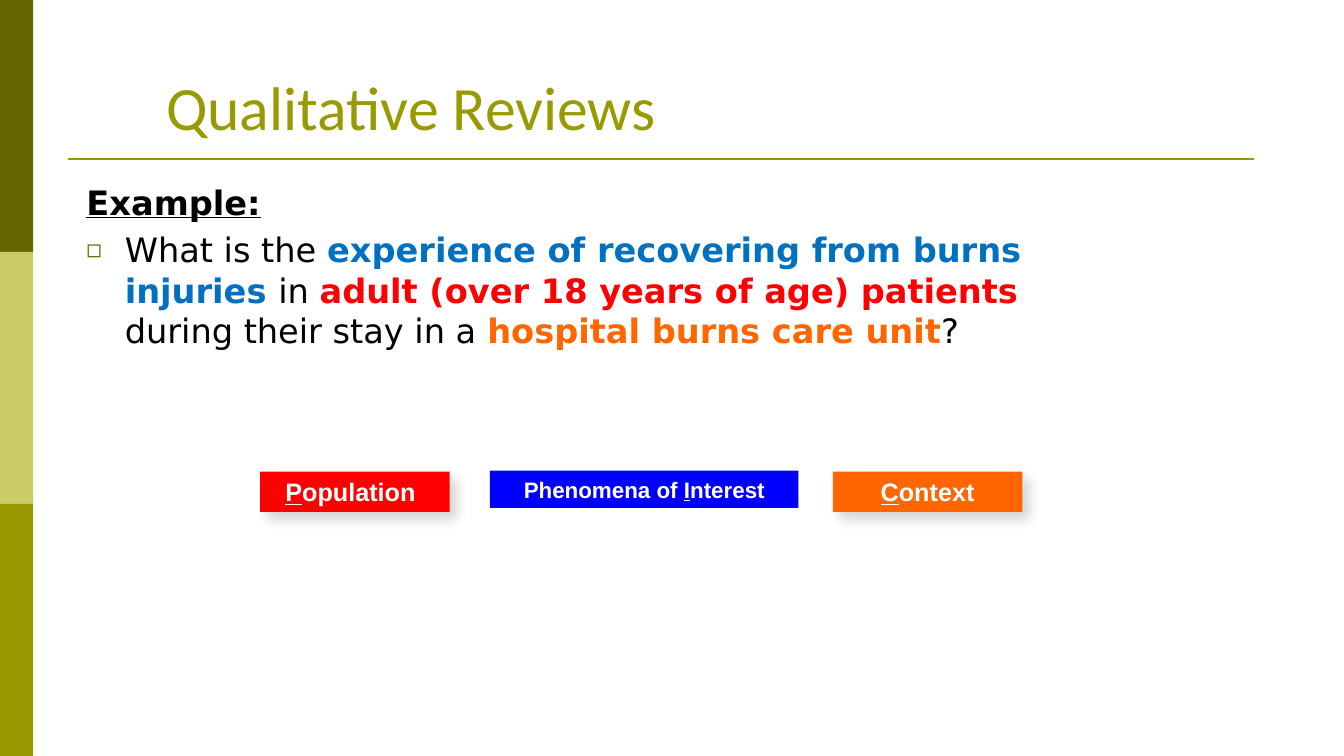
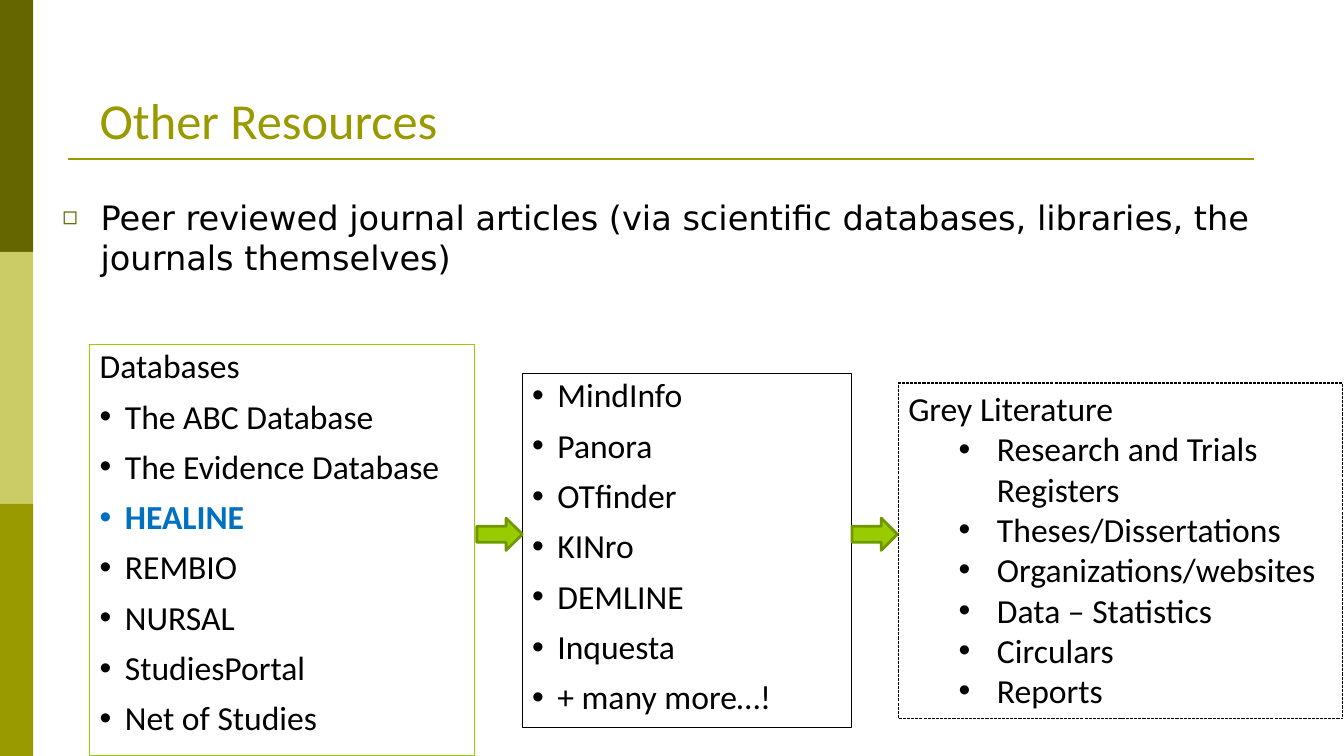
import pptx
import pptx.dml.color
import pptx.enum.dml
import pptx.enum.shapes
import pptx.enum.text
import pptx.oxml
import pptx.oxml.ns
import pptx.util
from lxml import etree

Inches = pptx.util.Inches
Pt = pptx.util.Pt
qn = pptx.oxml.ns.qn
SHAPES = pptx.enum.shapes.MSO_SHAPE
ALIGN = pptx.enum.text.PP_ALIGN
ANCHOR = pptx.enum.text.MSO_ANCHOR

OLIVE, DARK_OLIVE, PALE_OLIVE = "999900", "666600", "CCCC66"
BLACK, WHITE, BLUE, RED, ORANGE = "000000", "FFFFFF", "0070C0", "FF0000", "FF6600"
GREEN, DARK_GREEN = "99CC00", "719700"
SQUARE = {"char": "◻", "color": DARK_OLIVE, "percent": 75}
DOT = {"char": "•"}


def colour(value):
    return pptx.dml.color.RGBColor.from_string(value)


def add_text(slide, box, paragraphs=(), kind=None, fill=None, line=None, line_width=0.75,
             font="Calibri", size=24, color=BLACK, bold=False, align=ALIGN.LEFT,
             anchor=ANCHOR.TOP, margin=0.1, spacing=1.0, before=0):
    """Add a text box, or a shape of the given kind.

    Each paragraph is (runs, bullet, indent, hanging); each run is (text, format).
    """
    box = [Inches(length) for length in box]
    if kind is None:
        shape = slide.shapes.add_textbox(*box)
    else:
        shape = slide.shapes.add_shape(kind, *box)
        shape.shadow.inherit = False
        if fill:
            shape.fill.solid()
            shape.fill.fore_color.rgb = colour(fill)
        else:
            shape.fill.background()
        if line:
            shape.line.color.rgb = colour(line)
            shape.line.width = Pt(line_width)
        else:
            shape.line.fill.background()
    frame = shape.text_frame
    frame.word_wrap = True
    frame.vertical_anchor = anchor
    frame.margin_left = Inches(margin)
    for index, (runs, bullet, indent, hanging) in enumerate(paragraphs):
        paragraph = frame.add_paragraph() if index else frame.paragraphs[0]
        if bullet:
            properties = paragraph._p.get_or_add_pPr()
            properties.set("marL", str(Inches(indent)))
            properties.set("indent", str(-Inches(hanging)))
            if "color" in bullet:
                bullet_color = etree.SubElement(properties, qn("a:buClr"))
                etree.SubElement(bullet_color, qn("a:srgbClr"), val=bullet["color"])
                etree.SubElement(properties, qn("a:buSzPct"), val=str(bullet["percent"] * 1000))
            etree.SubElement(properties, qn("a:buFont"), typeface="Arial")
            etree.SubElement(properties, qn("a:buChar"), char=bullet["char"])
        paragraph.alignment = align
        paragraph.line_spacing = spacing
        paragraph.space_before = Pt(before if index else 0)
        for text, style in runs:
            run = paragraph.add_run()
            run.text = text
            run.font.name = font
            run.font.size = Pt(size)
            run.font.bold = style.get("bold", bold)
            run.font.underline = style.get("underline", False)
            run.font.color.rgb = colour(style.get("color", color))
    return shape


presentation = pptx.Presentation()
presentation.slide_width = Inches(13.33)
presentation.slide_height = Inches(7.5)

# Shared side bands, title and rule
titles = [
    ("Qualitative Reviews", (1.55, 0.22, 10, 1.25), 44),
    ("Other Resources", (0.89, 0.7, 9.11, 0.83), 36),
]
for title, box, size in titles:
    slide = presentation.slides.add_slide(presentation.slide_layouts[6])
    for index, band_color in enumerate((DARK_OLIVE, PALE_OLIVE, OLIVE)):
        add_text(slide, (0, 2.5 * index, 0.33, 2.5), kind=SHAPES.RECTANGLE, fill=band_color)
    rule = slide.shapes.add_connector(pptx.enum.shapes.MSO_CONNECTOR.STRAIGHT,
                                      Inches(0.67), Inches(1.58), Inches(12.44), Inches(1.58))
    rule.line.color.rgb = colour(OLIVE)
    rule.line.width = Pt(1.5)
    etree.SubElement(rule._element.spPr, qn("a:effectLst"))
    add_text(slide, box, [([(title, {})], None, 0, 0)], size=size, color=OLIVE,
             anchor=ANCHOR.BOTTOM)
review_slide, resources_slide = presentation.slides

# Example question
question = [
    ("What is the ", {}),
    ("experience of recovering from burns injuries ", {"color": BLUE, "bold": True}),
    ("in ", {}),
    ("adult (over 18 years of age) patients ", {"color": RED, "bold": True}),
    ("during their stay in a ", {}),
    ("hospital burns care unit", {"color": ORANGE, "bold": True}),
    ("?", {}),
]
add_text(review_slide, (0.76, 1.76, 9.76, 3.75),
         [([("Example:", {"bold": True, "underline": True})], None, 0, 0),
          (question, SQUARE, 0.38, 0.38)],
         font="DejaVu Sans", before=4.8)

# Labels for the parts of the question, with the initial underlined
labels = [
    (("", "P", "opulation"), (2.58, 4.68, 1.88, 0.4), RED, 18, ALIGN.LEFT, 0.25, True),
    (("Phenomena of ", "I", "nterest"), (4.86, 4.67, 3.06, 0.37), "0000FF", 16,
     ALIGN.CENTER, 0.1, False),
    (("", "C", "ontext"), (8.26, 4.68, 1.88, 0.4), ORANGE, 18, ALIGN.CENTER, 0.1, True),
]
for (lead, initial, rest), box, fill, size, align, margin, shadowed in labels:
    runs = [(text, {"underline": text == initial}) for text in (lead, initial, rest) if text]
    label = add_text(review_slide, box, [(runs, None, 0, 0)], kind=SHAPES.RECTANGLE, fill=fill,
                     font="Arial", size=size, color=WHITE, bold=True, align=align,
                     anchor=ANCHOR.MIDDLE, margin=margin)
    if shadowed:
        effects = label._element.spPr.find(qn("a:effectLst"))
        shadow = etree.SubElement(effects, qn("a:outerShdw"), blurRad=str(Pt(8.8)),
                                  dist=str(Pt(7)), dir=str(45 * 60000), algn="tl",
                                  rotWithShape="0")
        shadow_color = etree.SubElement(shadow, qn("a:srgbClr"), val=BLACK)
        etree.SubElement(shadow_color, qn("a:alpha"), val="16000")

# Journal articles
add_text(resources_slide, (0.52, 1.9, 12.2, 1),
         [([("Peer reviewed journal articles (via scientific databases, libraries, "
             "the journals themselves)", {})], SQUARE, 0.38, 0.38)],
         font="DejaVu Sans")

# Resource lists
lists = [
    ("Databases",
     ["The ABC Database", "The Evidence Database", "HEALINE", "REMBIO", "NURSAL",
      "StudiesPortal", "Net of Studies"],
     (0.89, 3.42, 3.82, 4.08), GREEN, 0.25, 0.25, 0.9, 10),
    (None,
     ["MindInfo", "Panora", "OTfinder", "KINro", "DEMLINE", "Inquesta", "+ many more…!"],
     (5.18, 3.71, 3.27, 3.51), BLACK, 0.25, 0.25, 0.9, 10),
    ("Grey Literature",
     ["Research and Trials Registers", "Theses/Dissertations", "Organizations/websites",
      "Data – Statistics", "Circulars", "Reports"],
     (8.91, 3.8, 4.41, 3.33), BLACK, 0.88, 0.38, 1.0, 0),
]
for heading, items, box, line, indent, hanging, spacing, before in lists:
    paragraphs = [([(heading, {})], None, 0, 0)] if heading else []
    for item in items:
        style = {"color": BLUE, "bold": True} if item == "HEALINE" else {}
        paragraphs.append(([(item, style)], DOT, indent, hanging))
    panel = add_text(resources_slide, box, paragraphs, kind=SHAPES.RECTANGLE, line=line,
                     spacing=spacing, before=before)
    if heading == "Grey Literature":
        panel.line.dash_style = pptx.enum.dml.MSO_LINE.SQUARE_DOT

# Arrows between the lists
for left in (4.73, 8.45):
    add_text(resources_slide, (left, 5.14, 0.45, 0.32), kind=SHAPES.RIGHT_ARROW,
             fill=GREEN, line=DARK_GREEN, line_width=2)

presentation.save("out.pptx")
